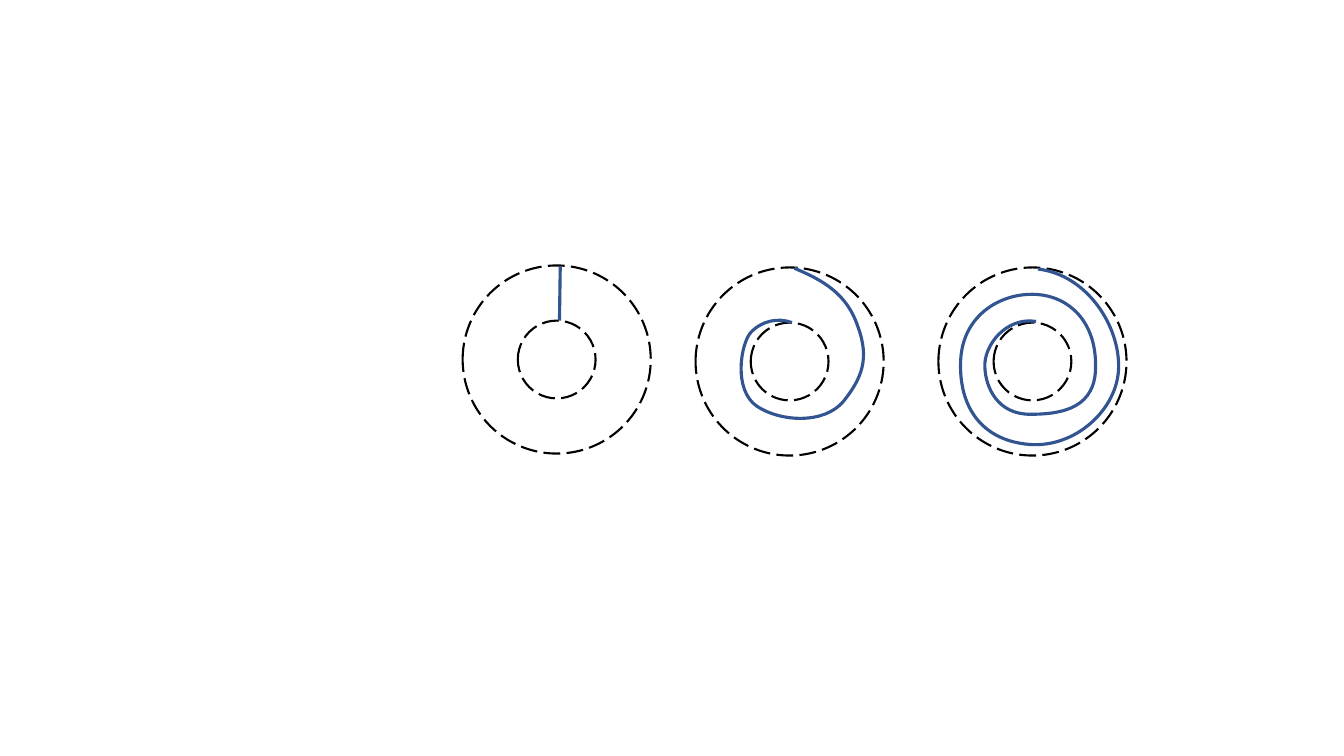
"""Build a slide with three dashed rings crossed by an increasingly wound line."""
from lxml.etree import SubElement
from pptx import Presentation
from pptx.dml.color import RGBColor
from pptx.enum.dml import MSO_LINE
from pptx.enum.shapes import MSO_SHAPE
from pptx.oxml.ns import qn
from pptx.util import Cm, Pt

COLORS = {"ring": "000000", "winding": "325491"}
RADII = (2.37, 0.98)
WOUND_RINGS = [
    {
        "center": (14.03, 9.06),
        "frame": [(14.1, 6.71), (14.12, 8.08)],
        "start": (14.1, 8.08),
        "curves": [],
        "end": (14.12, 6.71),
    },
    {
        "center": (19.9, 9.11),
        "frame": [(18.69, 6.76), (21.77, 10.54)],
        "start": (19.96, 8.13),
        "curves": [
            [(19.61, 8.0), (19.2, 8.08), (18.92, 8.38)],
            [(18.67, 8.66), (18.47, 9.83), (19.08, 10.24)],
            [(19.69, 10.64), (20.78, 10.69), (21.26, 10.11)],
            [(21.72, 9.53), (21.92, 9.04), (21.62, 8.23)],
            [(21.34, 7.39), (20.73, 7.06), (20.02, 6.76)],
        ],
    },
    {
        "center": (26.02, 9.11),
        "frame": [(24.21, 6.78), (28.19, 11.22)],
        "start": (26.11, 8.1),
        "curves": [
            [(25.35, 7.98), (24.79, 8.71), (24.82, 9.25)],
            [(24.84, 9.78), (25.15, 10.44), (25.96, 10.44)],
            [(26.77, 10.44), (27.64, 10.29), (27.61, 9.19)],
            [(27.61, 8.13), (26.97, 7.47), (26.11, 7.42)],
            [(25.25, 7.37), (24.26, 7.92), (24.21, 9.09)],
            [(24.16, 10.29), (24.77, 11.1), (25.93, 11.2)],
            [(27.1, 11.3), (28.17, 10.31), (28.19, 9.27)],
            [(28.22, 8.23), (27.41, 6.93), (26.16, 6.78)],
        ],
    },
]


def format_outline(shape, color, width, dash=None):
    shape.shadow.inherit = False
    shape.fill.background()
    shape.line.color.rgb = RGBColor.from_string(COLORS[color])
    shape.line.width = Pt(width)
    if dash is not None:
        shape.line.dash_style = dash


def add_ring(slide, center, radius):
    left, top = (Cm(value - radius) for value in center)
    ring = slide.shapes.add_shape(
        MSO_SHAPE.OVAL, left, top, Cm(2 * radius), Cm(2 * radius)
    )
    format_outline(ring, "ring", 1.5, MSO_LINE.LONG_DASH)


def add_winding(slide, frame, start, curves, end=None):
    corner, opposite = [(Cm(x), Cm(y)) for x, y in frame]
    builder = slide.shapes.build_freeform(*corner)
    builder.add_line_segments([opposite], close=False)
    winding = builder.convert_to_shape()
    outline = next(winding._element.iter(qn("a:path")))
    for segment in list(outline):
        outline.remove(segment)
    segments = [("a:moveTo", [start])]
    segments += [("a:cubicBezTo", curve) for curve in curves]
    if end is not None:
        segments.append(("a:lnTo", [end]))
    for tag, points in segments:
        segment = SubElement(outline, qn(tag))
        for x, y in points:
            point = SubElement(segment, qn("a:pt"))
            point.set("x", str(Cm(x) - corner[0]))
            point.set("y", str(Cm(y) - corner[1]))
    format_outline(winding, "winding", 2.25)


def main():
    presentation = Presentation()
    presentation.slide_width, presentation.slide_height = Cm(33.87), Cm(19.05)
    slide = presentation.slides.add_slide(presentation.slide_layouts[6])
    for wound_ring in WOUND_RINGS:
        for radius in RADII:
            add_ring(slide, wound_ring["center"], radius)
        add_winding(
            slide,
            wound_ring["frame"],
            wound_ring["start"],
            wound_ring["curves"],
            wound_ring.get("end"),
        )
    presentation.save("out.pptx")


if __name__ == "__main__":
    main()
